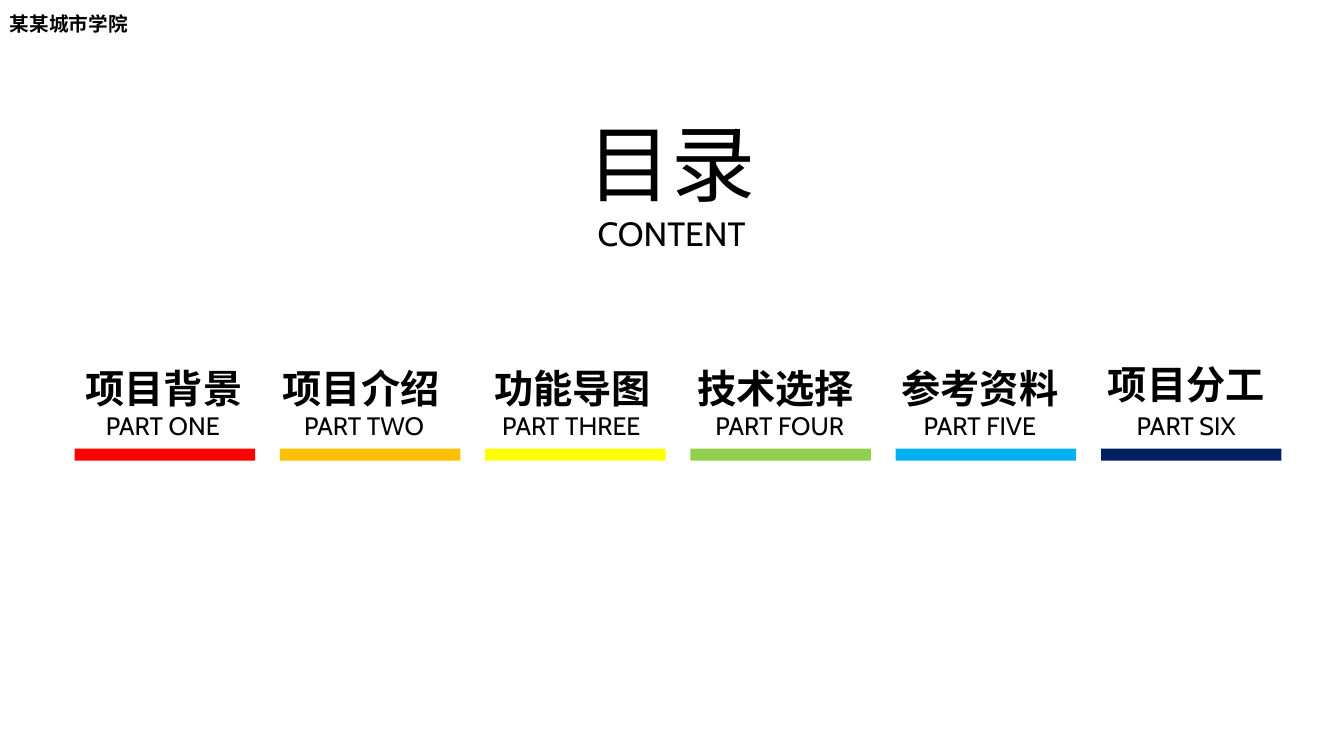
from pptx import Presentation
from pptx.dml.color import RGBColor
from pptx.enum.shapes import MSO_SHAPE
from pptx.enum.text import MSO_AUTO_SIZE, PP_ALIGN
from pptx.util import Inches, Pt

RECT = MSO_SHAPE.RECTANGLE
GROW = MSO_AUTO_SIZE.SHAPE_TO_FIT_TEXT
LEFT, CENTER = PP_ALIGN.LEFT, PP_ALIGN.CENTER

THEME = {
    "font": "Cabin",
    "ink": "000000",
    "bars": ["FF0000", "FFC000", "FFFF00", "92D050", "00B0F0", "002060"],
    "head": 60, "sub": 24, "name": 28, "part": 18, "school": 14,
}

WIDE, HIGH = 13.33, 7.5
FIRST, LAST = 0.74, 10.92   # left edges of the outer bars
BAR_W, BAR_H = 1.79, 0.12
NAME_Y, PART_Y, BAR_Y = 3.42, 3.93, 4.45

# name, part, shift of name (x, y) and of part (x) from the bar's centre
TOPICS = [
    ("项目背景", "PART ONE", -0.01, 0, -0.02),
    ("项目介绍", "PART TWO", -0.09, 0, -0.06),
    ("功能导图", "PART THREE", -0.03, 0, -0.04),
    ("技术选择", "PART FOUR", -0.05, 0, -0.01),
    ("参考资料", "PART FIVE", -0.06, 0, -0.06),
    ("项目分工", "PART SIX", -0.05, -0.03, -0.05),
]
PITCH = (LAST - FIRST) / (len(TOPICS) - 1)

deck = Presentation()
deck.slide_width, deck.slide_height = Inches(WIDE), Inches(HIGH)
slide = deck.slides.add_slide(deck.slide_layouts[6])


def add_text(box, lines, align=CENTER, bold=False, wrap=True, space=None):
    """Add a text box at box (left, top, width, height); lines are (words, size key)."""
    frame = slide.shapes.add_textbox(*map(Inches, box)).text_frame
    frame.word_wrap = wrap
    frame.auto_size = GROW
    for i, (words, size) in enumerate(lines):
        para = frame.add_paragraph() if i else frame.paragraphs[0]
        para.alignment = align
        para.line_spacing = space
        run = para.add_run()
        run.text = words
        font = run.font
        font.name = THEME["font"]
        font.size = Pt(THEME[size])
        font.bold = bold
        font.color.rgb = RGBColor.from_string(THEME["ink"])


add_text((0, 0.07, 1.37, 0.34), [("某某城市学院", "school")],
         align=LEFT, bold=True, wrap=False)
add_text((5.72, 1.06, 1.88, 1.51), [("目录", "head"), ("CONTENT", "sub")], wrap=False)

NAME_W, PART_W = 1.92, 1.87
for col, (name, part, name_dx, name_dy, part_dx) in enumerate(TOPICS):
    left = FIRST + col * PITCH
    mid = left + BAR_W / 2
    add_text((mid + part_dx - PART_W / 2, PART_Y, PART_W, 0.49),
             [(part, "part")], space=1.3)
    add_text((mid + name_dx - NAME_W / 2, NAME_Y + name_dy, NAME_W, 0.71),
             [(name, "name")], bold=True, space=1.3)
    bar = slide.shapes.add_shape(RECT, *map(Inches, (left, BAR_Y, BAR_W, BAR_H)))
    bar.shadow.inherit = False
    bar.fill.solid()
    bar.fill.fore_color.rgb = RGBColor.from_string(THEME["bars"][col])
    bar.line.fill.background()

deck.save("out.pptx")
